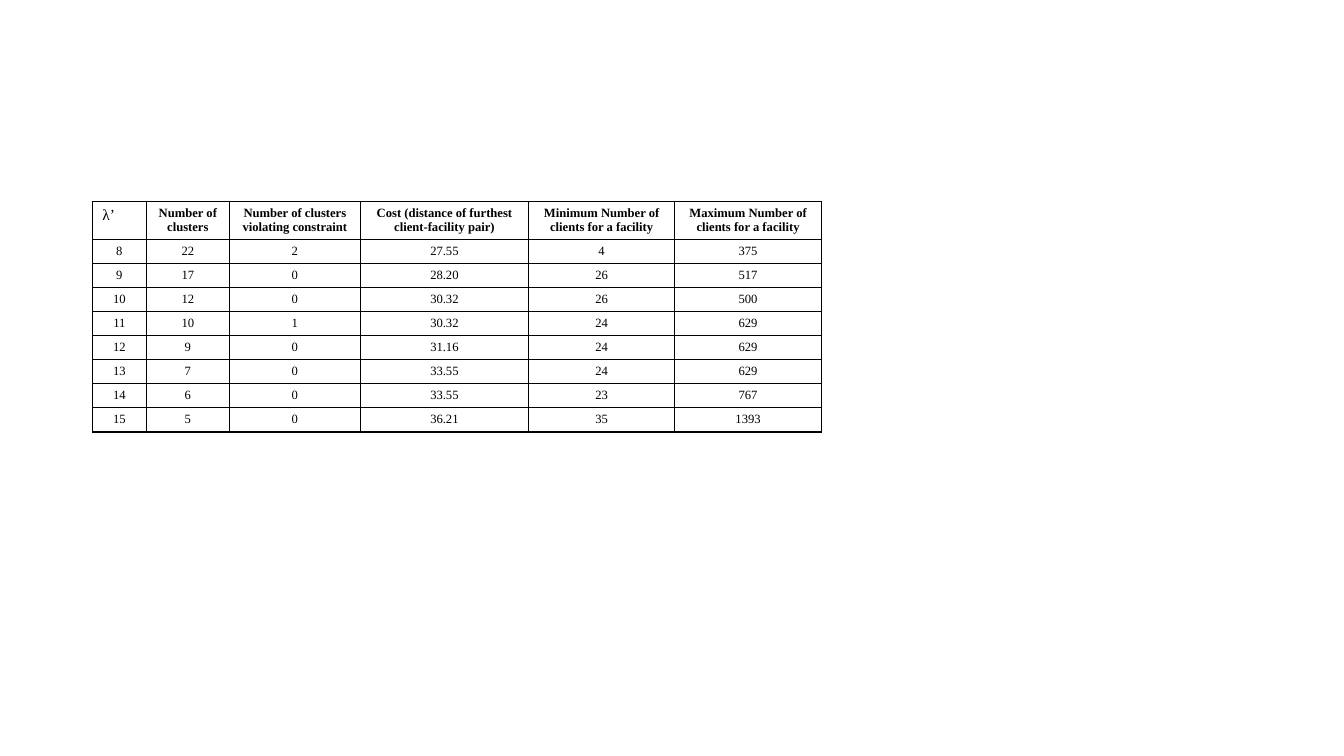
from pptx import Presentation
from pptx.dml.color import RGBColor
from pptx.enum.text import PP_ALIGN
from pptx.oxml import parse_xml
from pptx.oxml.ns import nsdecls
from pptx.util import Pt

# Content
HEADERS = ["λ’", "Number of clusters", "Number of clusters violating constraint",
           "Cost (distance of furthest client-facility pair)",
           "Minimum Number of clients for a facility",
           "Maximum Number of clients for a facility"]
RESULTS = [
    (8, 22, 2, "27.55", 4, 375),
    (9, 17, 0, "28.20", 26, 517),
    (10, 12, 0, "30.32", 26, 500),
    (11, 10, 1, "30.32", 24, 629),
    (12, 9, 0, "31.16", 24, 629),
    (13, 7, 0, "33.55", 24, 629),
    (14, 6, 0, "33.55", 23, 767),
    (15, 5, 0, "36.21", 35, 1393),
]
COLORS = {"ink": "000000"}
FONT = "Times New Roman"

# Geometry in points
LEFT, TOP = 66, 144
COL_WIDTHS = [38.6, 59.2, 93.7, 120, 104.6, 104.6]
HEADER_H, ROW_H = 27.1, 17.2
MARGIN_X, MARGIN_Y = 7.2, 3.4


def add_borders(cell):
    tcPr = cell._tc.get_or_add_tcPr()
    for i, side in enumerate(("lnL", "lnR", "lnT", "lnB")):
        tcPr.insert(i, parse_xml(
            f'<a:{side} {nsdecls("a")} w="{Pt(1)}"><a:solidFill>'
            f'<a:srgbClr val="{COLORS["ink"]}"/></a:solidFill></a:{side}>'))


def fill_cell(cell, text, size, bold, align):
    cell.margin_left = cell.margin_right = Pt(MARGIN_X)
    cell.margin_top = cell.margin_bottom = Pt(MARGIN_Y)
    cell.fill.background()
    add_borders(cell)
    p = cell.text_frame.paragraphs[0]
    p.text = str(text)
    p.alignment = align
    p.font.name, p.font.size, p.font.bold = FONT, Pt(size), bold
    p.font.color.rgb = RGBColor.from_string(COLORS["ink"])


prs = Presentation()
prs.slide_width, prs.slide_height = Pt(960), Pt(540)
s = prs.slides.add_slide(prs.slide_layouts[6])

# Results table
rows = [HEADERS, *RESULTS]
heights = [HEADER_H] + [ROW_H] * len(RESULTS)
table = s.shapes.add_table(len(rows), len(HEADERS), Pt(LEFT), Pt(TOP),
                           Pt(sum(COL_WIDTHS)), Pt(sum(heights))).table
table.first_row = table.horz_banding = False
for col, width in zip(table.columns, COL_WIDTHS):
    col.width = Pt(width)
for r, (values, height) in enumerate(zip(rows, heights)):
    table.rows[r].height = Pt(height)
    for c, value in enumerate(values):
        corner = r == 0 and c == 0
        fill_cell(table.cell(r, c), value, size=11 if corner else 9,
                  bold=r == 0 and not corner,
                  align=PP_ALIGN.LEFT if corner else PP_ALIGN.CENTER)

prs.save("out.pptx")
